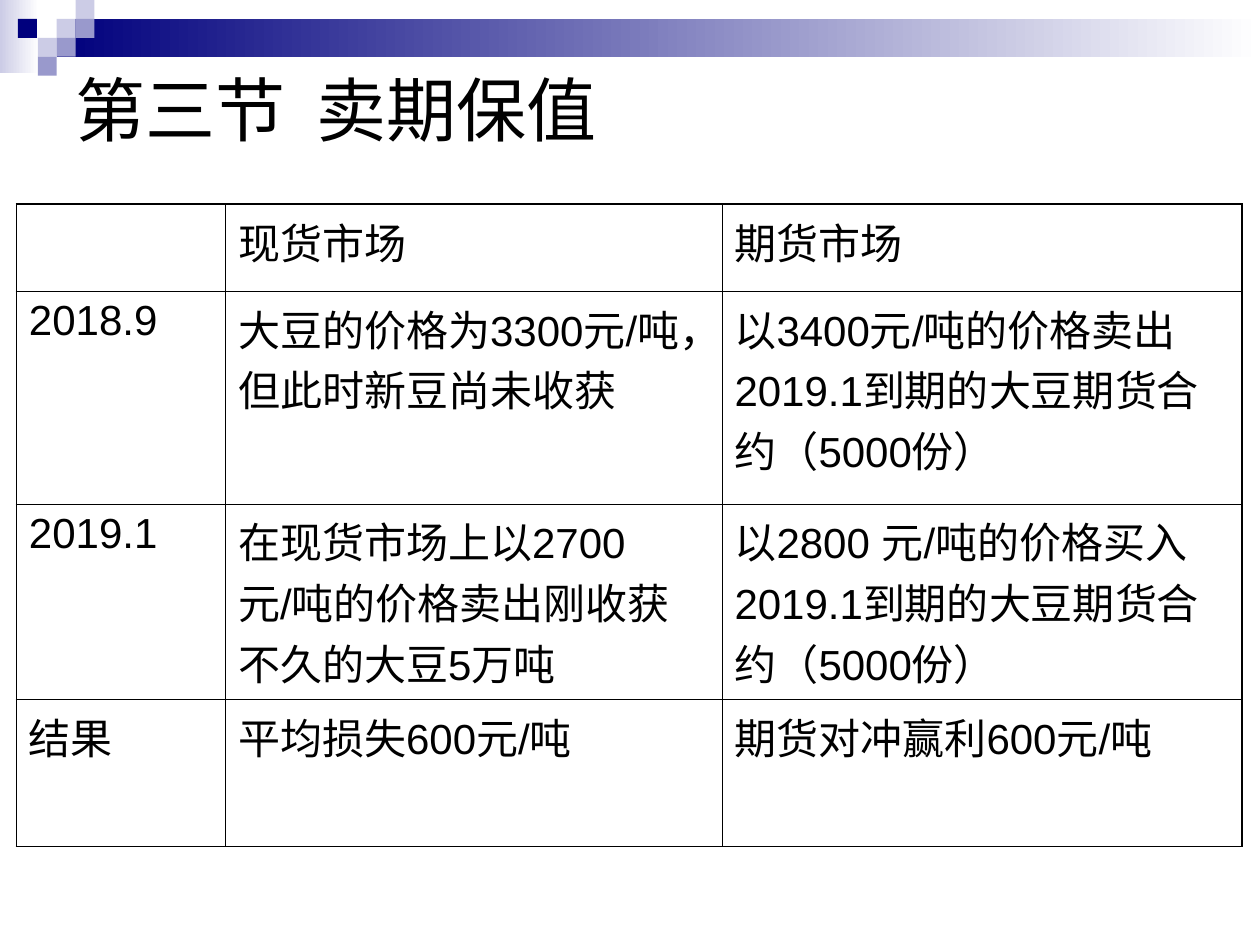
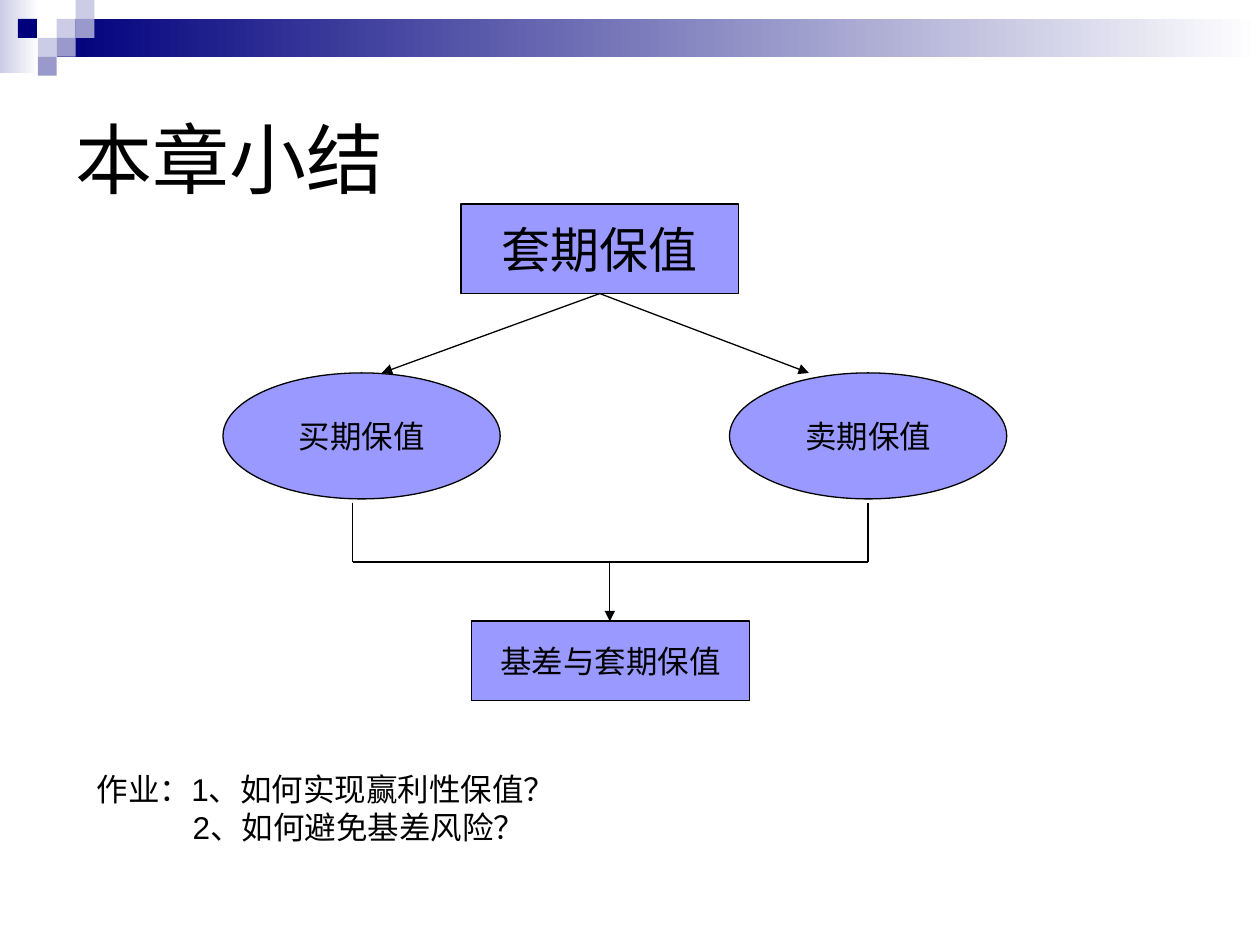
from lxml.etree import SubElement
from pptx import Presentation
from pptx.dml.color import RGBColor
from pptx.enum.shapes import MSO_CONNECTOR, MSO_SHAPE
from pptx.enum.text import MSO_ANCHOR, PP_ALIGN
from pptx.oxml.ns import qn
from pptx.util import Inches, Pt

BLACK = RGBColor(0x00, 0x00, 0x00)
WHITE = RGBColor(0xFF, 0xFF, 0xFF)
NAVY = RGBColor(0x00, 0x00, 0x7D)
PALE = RGBColor(0xCC, 0xCC, 0xE6)
LILAC = RGBColor(0x99, 0x99, 0xCC)
NODE_FILL = RGBColor(0x99, 0x99, 0xFF)
FONT = "Arial"

GRADIENTS = [((0, 0, 0.31, 0.58), PALE), ((0.45, 0.15, 9.55, 0.3), NAVY)]
SQUARE = 0.15
SQUARES = [
    (3, 1, PALE), (4, 0, PALE), (4, 1, LILAC), (2, 2, PALE),
    (0.95, 1, NAVY), (3, 2, LILAC), (2, 3, LILAC),
]

HEDGE_TITLE = "第三节  卖期保值"
HEDGE_ROWS = [
    ("", "现货市场", "期货市场"),
    ("2018.9", "大豆的价格为3300元/吨，但此时新豆尚未收获",
     "以3400元/吨的价格卖出2019.1到期的大豆期货合约（5000份）"),
    ("2019.1", "在现货市场上以2700元/吨的价格卖出刚收获不久的大豆5万吨",
     "以2800 元/吨的价格买入2019.1到期的大豆期货合约（5000份）"),
    ("结果", "平均损失600元/吨", "期货对冲赢利600元/吨"),
]
COLUMN_WIDTHS = [1.66, 3.94, 4.13]
ROW_HEIGHTS = [0.69, 1.69, 1.55, 1.17]
OUTER_BORDER, INNER_BORDER = 1.08, 0.45

SUMMARY_TITLE = "本章小结"
NODES = [
    ("套期保值", MSO_SHAPE.RECTANGLE, (3.66, 1.62, 2.2, 0.71), 28),
    ("买期保值", MSO_SHAPE.OVAL, (1.77, 2.96, 2.2, 1), 18),
    ("卖期保值", MSO_SHAPE.OVAL, (5.79, 2.96, 2.2, 1), 18),
    ("基差与套期保值", MSO_SHAPE.RECTANGLE, (3.74, 4.93, 2.21, 0.63), 18),
]
ARROWS = [
    ((4.76, 2.33), (3.03, 2.96)),
    ((4.76, 2.33), (6.42, 2.96)),
    ((4.84, 4.46), (4.84, 4.93)),
]
BRACKET = [(2.8, 3.99), (2.8, 4.46), (6.89, 4.46), (6.89, 3.99)]
HOMEWORK = [("作业：1、如何实现赢利性保值？", 0), ("2、如何避免基差风险？", 0.76)]


def write(paragraph, text, size=18, align=PP_ALIGN.LEFT, indent=0, spacing=None):
    paragraph.alignment = align
    if spacing:
        paragraph.line_spacing = Pt(spacing)
    if indent:
        paragraph._p.get_or_add_pPr().set("marL", str(Inches(indent)))
    span = paragraph.add_run()
    span.text = text
    span.font.name = FONT
    span.font.size = Pt(size)
    span.font.color.rgb = BLACK


def add_block(page, kind, place, fill, line=None, fade=False):
    shape = page.shapes.add_shape(kind, *map(Inches, place))
    shape.shadow.inherit = False
    if fade:
        shape.fill.gradient()
        shape.fill.gradient_angle = 0
        for stop, color, position in zip(shape.fill.gradient_stops, (fill, WHITE), (0, 1)):
            stop.color.rgb = color
            stop.position = position
    else:
        shape.fill.solid()
        shape.fill.fore_color.rgb = fill
    if line is None:
        shape.line.fill.background()
    else:
        shape.line.color.rgb = line
        shape.line.width = Pt(0.75)
    return shape


def add_text_box(page, place, anchor=MSO_ANCHOR.TOP):
    frame = page.shapes.add_textbox(*map(Inches, place)).text_frame
    frame.word_wrap = True
    frame.vertical_anchor = anchor
    return frame


def add_page(deck, title, title_height, title_size):
    page = deck.slides.add_slide(deck.slide_layouts[6])
    for place, color in GRADIENTS:
        add_block(page, MSO_SHAPE.RECTANGLE, place, color, fade=True)
    for column, row, color in SQUARES:
        place = (column * SQUARE, row * SQUARE, SQUARE, SQUARE)
        add_block(page, MSO_SHAPE.RECTANGLE, place, color)
    frame = add_text_box(page, (0.5, 0.5, 9, title_height), MSO_ANCHOR.MIDDLE)
    write(frame.paragraphs[0], title, size=title_size)
    return page


def add_line(page, start, end, arrow=False):
    line = page.shapes.add_connector(MSO_CONNECTOR.STRAIGHT, *map(Inches, start + end))
    line.line.color.rgb = BLACK
    line.line.width = Pt(0.75)
    if arrow:
        SubElement(line.line._get_or_add_ln(), qn("a:tailEnd"), type="triangle")
    SubElement(line._element.spPr, qn("a:effectLst"))


def set_borders(cell, widths):
    properties = cell._tc.get_or_add_tcPr()
    for index, (side, width) in enumerate(widths.items()):
        line = properties.makeelement(qn(f"a:{side}"), {"w": str(Pt(width))})
        fill = SubElement(line, qn("a:solidFill"))
        SubElement(fill, qn("a:srgbClr"), val=str(BLACK))
        properties.insert(index, line)


def add_hedge_table(page):
    last_row, last_column = len(ROW_HEIGHTS) - 1, len(COLUMN_WIDTHS) - 1
    place = (0.13, 1.62, sum(COLUMN_WIDTHS), sum(ROW_HEIGHTS))
    table = page.shapes.add_table(last_row + 1, last_column + 1, *map(Inches, place)).table
    table.first_row = table.horz_banding = False
    for column, width in zip(table.columns, COLUMN_WIDTHS):
        column.width = Inches(width)
    for row, height in zip(table.rows, ROW_HEIGHTS):
        row.height = Inches(height)
    for r, texts in enumerate(HEDGE_ROWS):
        for c, text in enumerate(texts):
            cell = table.cell(r, c)
            cell.fill.background()
            if text:
                write(cell.text_frame.paragraphs[0], text, size=24)
            on_edge = {"lnL": c == 0, "lnR": c == last_column,
                       "lnT": r == 0, "lnB": r == last_row}
            set_borders(cell, {side: OUTER_BORDER if outer else INNER_BORDER
                               for side, outer in on_edge.items()})


def add_summary(page):
    for text, kind, place, size in NODES:
        node = add_block(page, kind, place, NODE_FILL, line=BLACK)
        node.text_frame.word_wrap = False
        node.text_frame.vertical_anchor = MSO_ANCHOR.MIDDLE
        write(node.text_frame.paragraphs[0], text, size=size, align=PP_ALIGN.CENTER)
    for start, end in zip(BRACKET, BRACKET[1:]):
        add_line(page, start, end)
    for start, end in ARROWS:
        add_line(page, start, end, arrow=True)
    frame = add_text_box(page, (0.67, 6.06, 4.1, 0.7))
    for index, (text, indent) in enumerate(HOMEWORK):
        paragraph = frame.add_paragraph() if index else frame.paragraphs[0]
        write(paragraph, text, indent=indent, spacing=21.7)


def main():
    deck = Presentation()
    deck.slide_width, deck.slide_height = Inches(10), Inches(7.5)
    add_hedge_table(add_page(deck, HEDGE_TITLE, 0.73, 40))
    add_summary(add_page(deck, SUMMARY_TITLE, 1.5, 44))
    deck.save("out.pptx")


if __name__ == "__main__":
    main()
